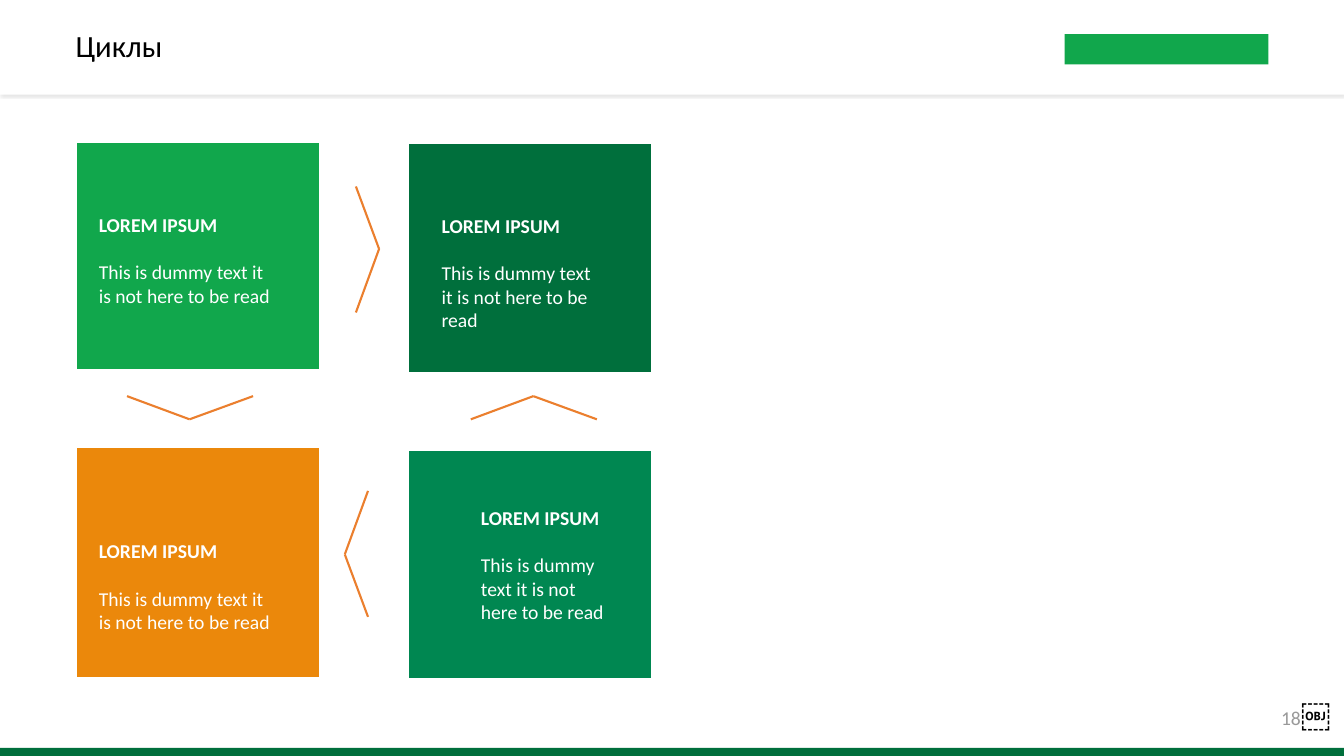
import itertools

import pptx
import pptx.dml.color
import pptx.enum.shapes
import pptx.enum.text
import pptx.oxml
import pptx.oxml.ns
import pptx.util

RGB = pptx.dml.color.RGBColor
ANCHOR = pptx.enum.text.MSO_ANCHOR
ALIGN = pptx.enum.text.PP_ALIGN

EMU_PER_PX = 9144  # 100 px to the inch
FONT = "Calibri"

WHITE = RGB(0xFF, 0xFF, 0xFF)
BLACK = RGB(0x00, 0x00, 0x00)
GREY = RGB(0x99, 0x99, 0x99)
BRIGHT_GREEN = RGB(0x11, 0xA7, 0x4C)
DARK_GREEN = RGB(0x00, 0x6F, 0x3C)
GREEN = RGB(0x00, 0x87, 0x51)
AMBER = RGB(0xEB, 0x88, 0x0B)
ORANGE = RGB(0xEB, 0x7F, 0x2E)

HEADING = "LOREM IPSUM"
BODY = "This is dummy text it is not here to be read"

# box (left, top, width, height), fill, text inset from the left and top
CYCLE_CARDS = [
    ((75, 443, 243, 230), AMBER, 23, 92),
    ((404, 446, 243, 228), GREEN, 73, 56),
    ((404, 141, 243, 230), DARK_GREEN, 34, 71),
    ((75, 140, 243, 228), BRIGHT_GREEN, 23, 71),
]
# start, tip and end of each chevron
CHEVRONS = [
    [(353, 185), (376, 247), (353, 310)],
    [(251, 393), (188, 416), (126, 393)],
    [(365, 612), (342, 550), (365, 487)],
    [(467, 416), (529, 393), (592, 416)],
]

HEADER_SHADOW = (
    f'<a:effectLst {pptx.oxml.ns.nsdecls("a")}>'
    '<a:outerShdw blurRad="12700" dist="25400" dir="5400000" rotWithShape="0">'
    '<a:srgbClr val="8A8A8A"><a:alpha val="20000"/></a:srgbClr>'
    "</a:outerShdw></a:effectLst>"
)


def px(length):
    return pptx.util.Emu(length * EMU_PER_PX)


def format_span(span, size, color, bold=False, font=FONT):
    span.font.name = font
    span.font.size = pptx.util.Pt(size)
    span.font.color.rgb = color
    span.font.bold = bold


def set_insets(frame, left, top, right, bottom):
    frame.margin_left, frame.margin_top = px(left), px(top)
    frame.margin_right, frame.margin_bottom = px(right), px(bottom)


def add_block(page, box, color):
    """Add a flat filled rectangle without outline."""
    block = page.shapes.add_shape(
        pptx.enum.shapes.MSO_SHAPE.RECTANGLE, *map(px, box))
    block.shadow.inherit = False
    block.fill.solid()
    block.fill.fore_color.rgb = color
    block.line.fill.background()
    return block


def add_header(page, box):
    left, top, width, height = box
    band = add_block(page, box, WHITE)
    properties = band.element.spPr
    properties.remove(properties.find(pptx.oxml.ns.qn("a:effectLst")))
    properties.append(pptx.oxml.parse_xml(HEADER_SHADOW))

    title = page.shapes.title
    title.element.addprevious(band.element)
    title.left, title.top = px(left + 65), px(top)
    title.width, title.height = px(984), px(height)
    frame = title.text_frame
    frame.text = "Циклы"
    frame.vertical_anchor = ANCHOR.MIDDLE
    set_insets(frame, 10, 5, 10, 5)
    para = frame.paragraphs[0]
    para.alignment = ALIGN.LEFT
    para.line_spacing = 0.9
    format_span(para.runs[0], 22, BLACK)

    add_block(page, (left + 1056, top + 34, 202, 30), BRIGHT_GREEN)


def add_footer(page, box):
    left, top, width, height = box
    add_block(page, box, DARK_GREEN)
    number = page.shapes.add_textbox(
        px(left + width - 76), px(top - 51), px(76), px(35))
    frame = number.text_frame
    frame.word_wrap = True
    frame.vertical_anchor = ANCHOR.MIDDLE
    set_insets(frame, 0, 0, 0, 0)
    para = frame.paragraphs[0]
    para.text = "18"
    para.alignment = ALIGN.CENTER
    format_span(para.runs[0], 14, GREY)
    mark = para.add_run()
    mark.text = "￼"
    format_span(mark, 21, BLACK, font="Cabin")


def add_card(page, box, color, text_left, text_top):
    card = add_block(page, box, color)
    card.line.color.rgb = WHITE
    card.line.width = pptx.util.Pt(2.25)
    frame = card.text_frame
    frame.word_wrap = True
    frame.vertical_anchor = ANCHOR.TOP
    set_insets(frame, text_left, text_top, 47, 5)
    frame.text = f"{HEADING}\n{BODY}"
    heading, body = frame.paragraphs
    for para in (heading, body):
        para.alignment = ALIGN.LEFT
        format_span(para.runs[0], 14, WHITE, bold=para is heading)
    body.space_before = pptx.util.Pt(17)


def add_chevron(page, points):
    for start, end in itertools.pairwise(points):
        stroke = page.shapes.add_connector(
            pptx.enum.shapes.MSO_CONNECTOR.STRAIGHT, *map(px, start + end))
        stroke.line.color.rgb = ORANGE
        stroke.line.width = pptx.util.Pt(1.5)
        stroke.element.spPr.append(
            pptx.oxml.parse_xml(f'<a:effectLst {pptx.oxml.ns.nsdecls("a")}/>'))


def main():
    deck = pptx.Presentation()
    deck.slide_width, deck.slide_height = px(1333), px(750)
    page = deck.slides.add_slide(deck.slide_layouts.get_by_name("Title Only"))
    add_footer(page, (0, 742, 1333, 8))
    add_header(page, (0, 0, 1333, 94))
    for card in CYCLE_CARDS:
        add_card(page, *card)
    for points in CHEVRONS:
        add_chevron(page, points)
    deck.save("out.pptx")


if __name__ == "__main__":
    main()
